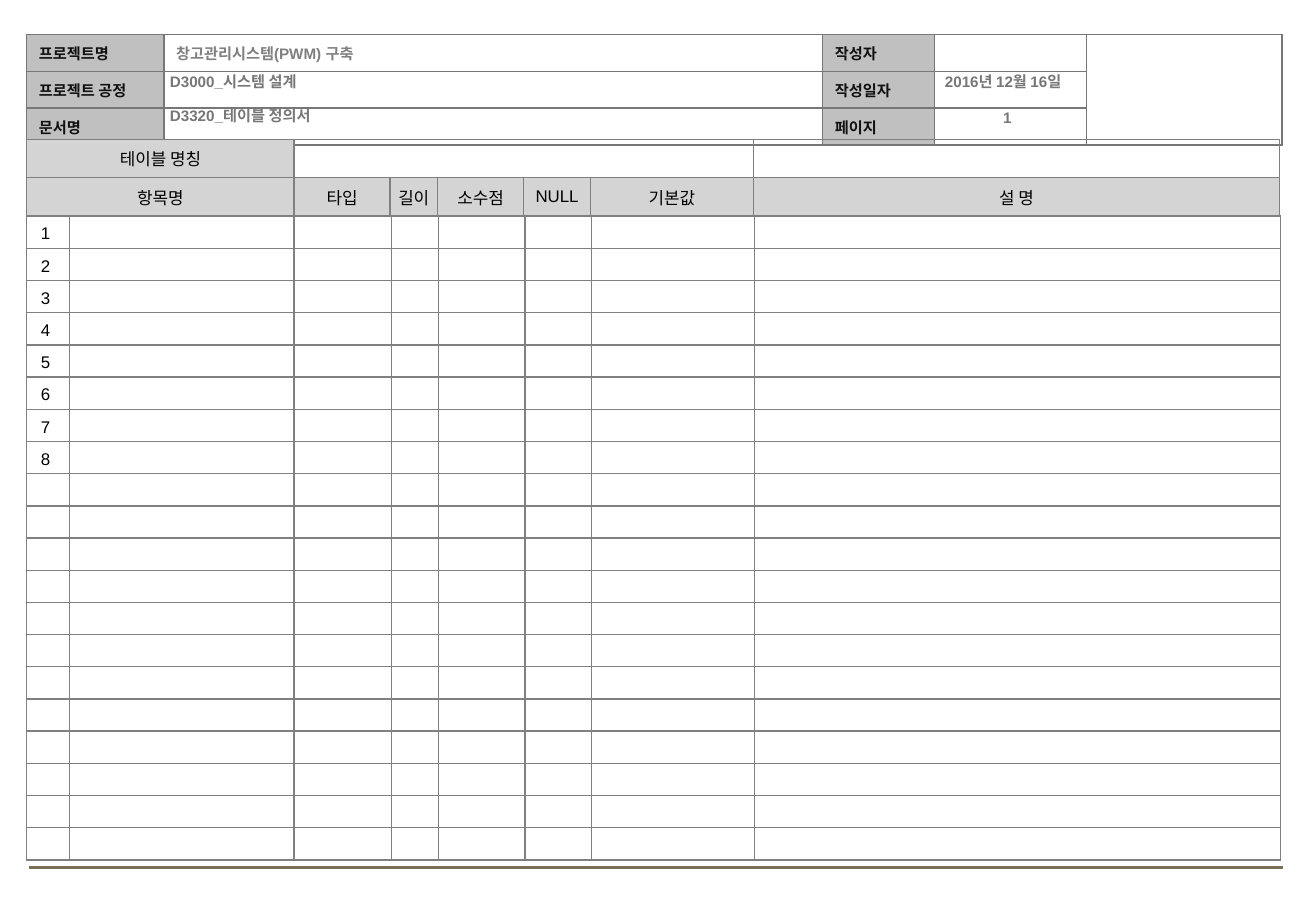
from lxml import etree
from pptx import Presentation
from pptx.dml.color import RGBColor
from pptx.enum.shapes import MSO_CONNECTOR as Connector
from pptx.enum.text import MSO_ANCHOR as Anchor, PP_ALIGN as Align
from pptx.oxml import parse_xml
from pptx.oxml.ns import nsdecls, qn
from pptx.util import Inches, Pt

COLORS = {
    "label": "111111", "project": "808080", "value": "777777", "body": "000000",
    "label_fill": "C0C0C0", "heading_fill": "D4D4D4",
    "header_border": "777777", "border": "808080", "rule": "7A6F54",
}
FONT = "Arial"
GRID_COLUMNS, GRID_ROWS = 108.3, 75  # square grid, ten units to the inch


class FormSlide:
    def __init__(self, presentation):
        presentation.slide_width = self.grid(GRID_COLUMNS)
        presentation.slide_height = self.grid(GRID_ROWS)
        self.slide = presentation.slides.add_slide(presentation.slide_layouts[6])

    @staticmethod
    def grid(units):
        return Inches(units / 10)

    def box(self, *units):
        return [self.grid(unit) for unit in units]

    def fill_paragraph(self, paragraph, text, size, color, bold=False,
                       align=Align.LEFT):
        paragraph.alignment = align
        run = paragraph.add_run()
        run.text = text
        run.font.name = FONT
        run.font.size = Pt(size)
        run.font.bold = bold
        run.font.color.rgb = RGBColor.from_string(COLORS[color])

    def line(self, start, end, color, width):
        connector = self.slide.shapes.add_connector(
            Connector.STRAIGHT, *self.box(*start, *end))
        connector.line.color.rgb = RGBColor.from_string(COLORS[color])
        connector.line.width = Pt(width)
        etree.SubElement(connector._element.spPr, qn("a:effectLst"))

    def text(self, left, top, width, height, text, align=Align.LEFT):
        shape = self.slide.shapes.add_textbox(*self.box(left, top, width, height))
        shape.text_frame.word_wrap = True
        self.fill_paragraph(shape.text_frame.paragraphs[0], text, 9, "value",
                            True, align)

    def table(self, left, top, widths, row_count, row_height, border):
        frame = self.slide.shapes.add_table(
            row_count, len(widths),
            *self.box(left, top, sum(widths), row_count * row_height))
        table = frame.table
        table.first_row = table.horz_banding = False
        for column, width in zip(table.columns, widths):
            column.width = self.grid(width)
        for row in table.rows:
            row.height = self.grid(row_height)
        for cell in table.iter_cells():
            cell.fill.background()
            self.outline(cell, border)
            # Small end mark keeps empty rows from growing
            etree.SubElement(cell.text_frame.paragraphs[0]._p,
                             qn("a:endParaRPr"), sz="800")
            cell.margin_top = cell.margin_bottom = self.grid(0.4)
        return table

    def outline(self, cell, color):
        properties = cell._tc.get_or_add_tcPr()
        for position, side in enumerate(("lnL", "lnR", "lnT", "lnB")):
            properties.insert(position, parse_xml(
                f'<a:{side} {nsdecls("a")} w="12700"><a:solidFill>'
                f'<a:srgbClr val="{COLORS[color]}"/></a:solidFill></a:{side}>'))

    def cell(self, cell, text, size, color, bold=False, align=Align.LEFT,
             side=1, fill=None, anchor=Anchor.MIDDLE):
        cell.vertical_anchor = anchor
        cell.margin_left = cell.margin_right = self.grid(side)
        if fill:
            cell.fill.solid()
            cell.fill.fore_color.rgb = RGBColor.from_string(COLORS[fill])
        self.fill_paragraph(cell.text_frame.paragraphs[0], text, size, color,
                            bold, align)


def main():
    presentation = Presentation()
    form = FormSlide(presentation)

    # Footer rule
    form.line((2.4, 71.4), (105.6, 71.4), "rule", 1.75)

    # Document header
    header = form.table(2.2, 2.85, [11.3, 54.2, 9.2, 12.5, 16.1], 3, 3.03,
                        "header_border")
    labels = [("프로젝트명", "작성자"), ("프로젝트 공정", "작성일자"), ("문서명", "페이지")]
    for row, pair in enumerate(labels):
        for column, label in zip((0, 2), pair):
            form.cell(header.cell(row, column), label, 9, "label", True,
                      fill="label_fill")
    form.cell(header.cell(0, 1), "창고관리시스템(PWM) 구축", 9, "project", True)
    header.cell(0, 4).merge(header.cell(2, 4))

    # Header values
    form.text(74.7, 5.5, 15.7, 2.5, "2016년 12월 16일", Align.CENTER)
    form.text(13, 5.5, 48, 2.5, "D3000_시스템 설계")
    form.text(13, 8.3, 48, 2.5, "D3320_테이블 정의서")
    form.text(76.6, 8.4, 12.6, 2.5, "1", Align.CENTER)

    # Column headings
    field_widths = [3.9, 7.1, 5.5, 13.4, 43.3]
    headings = form.table(2.2, 11.5, [22, 7.9, *field_widths], 2, 3.13, "border")
    titles = ["항목명", "타입", "길이", "소수점", "NULL", "기본값", "설 명"]
    titled_cells = [(0, 0, "테이블 명칭")]
    titled_cells += [(1, column, title) for column, title in enumerate(titles)]
    for row, column, title in titled_cells:
        form.cell(headings.cell(row, column), title, 10, "body",
                  align=Align.CENTER, side=0.2, fill="heading_fill")
    headings.cell(0, 1).merge(headings.cell(0, 5))

    # Numbered item rows
    items = form.table(2.2, 17.8, [3.5, 18.5, 8, *field_widths], 20, 2.65, "border")
    for number in range(1, 9):
        form.cell(items.cell(number - 1, 0), f"{number} ", 10, "body",
                  align=Align.CENTER, side=0.2, anchor=Anchor.BOTTOM)

    presentation.save("out.pptx")


if __name__ == "__main__":
    main()
